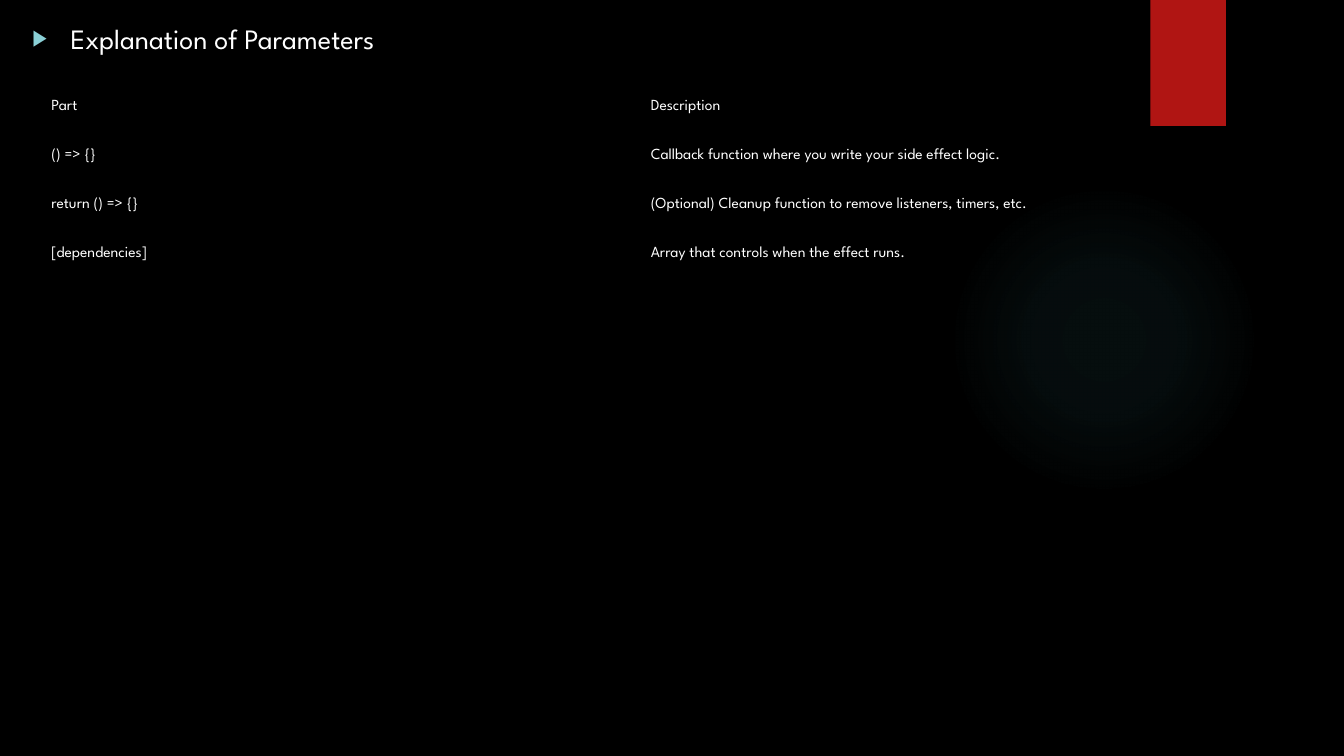
from lxml import etree
from pptx import Presentation
from pptx.dml.color import RGBColor
from pptx.enum import shapes, text
from pptx.oxml import ns, parse_xml
from pptx.util import Inches, Pt

BLACK = RGBColor(0x00, 0x00, 0x00)
WHITE = RGBColor(0xFF, 0xFF, 0xFF)
RED = RGBColor(0xB0, 0x15, 0x13)
TEAL = RGBColor(0x50, 0xB9, 0xC1)
AQUA = RGBColor(0x8A, 0xD0, 0xD6)
FONT = "League Spartan"
NO_TABLE_STYLE = "{2D5ABB26-0587-4C30-8999-92F81FD0307C}"

PARAMETERS = [
    ("Part", "Description"),
    ("() => {}", "Callback function where you write your side effect logic."),
    ("return () => {}", "(Optional) Cleanup function to remove listeners, timers, etc."),
    ("[dependencies]", "Array that controls when the effect runs."),
]
# Position and opacity of each stop, in percent
GLOW_STOPS = [(0, 7), (36, 6), (69, 0)]


def apply_format(target, values):
    for name, value in values.items():
        setattr(target, name, value)


def write(paragraph, words, size):
    run = paragraph.add_run()
    run.text = words
    apply_format(run.font, {"name": FONT, "size": Pt(size)})
    run.font.color.rgb = WHITE


def add_plain_shape(slide, preset, box):
    shape = slide.shapes.add_shape(preset, *map(Inches, box))
    shape.shadow.inherit = False
    shape.line.fill.background()
    return shape


def add_glow(slide, box):
    """Add a circle that fades from its centre to transparent."""
    glow = add_plain_shape(slide, shapes.MSO_SHAPE.OVAL, box)
    stops = "".join(
        f'<a:gs pos="{position * 1000}"><a:srgbClr val="{TEAL}">'
        f'<a:alpha val="{opacity * 1000}"/></a:srgbClr></a:gs>'
        for position, opacity in GLOW_STOPS
    )
    gradient = parse_xml(
        f'<a:gradFill {ns.nsdecls("a")}><a:gsLst>{stops}</a:gsLst><a:path path="circle">'
        '<a:fillToRect l="50000" t="50000" r="50000" b="50000"/></a:path></a:gradFill>'
    )
    glow.element.spPr.find(ns.qn("a:prstGeom")).addnext(gradient)


def add_ribbon(slide, box):
    ribbon = add_plain_shape(slide, shapes.MSO_SHAPE.RECTANGLE, box)
    ribbon.fill.solid()
    ribbon.fill.fore_color.rgb = RED


def add_arrow_bullet(paragraph):
    properties = paragraph._p.get_or_add_pPr()
    properties.set("marL", str(Inches(0.38)))
    properties.set("indent", str(Inches(-0.38)))
    color = etree.SubElement(properties, ns.qn("a:buClr"))
    etree.SubElement(color, ns.qn("a:srgbClr"), val=str(AQUA))
    etree.SubElement(properties, ns.qn("a:buSzPct"), val="80000")
    etree.SubElement(properties, ns.qn("a:buFont"), typeface="Arial")
    etree.SubElement(properties, ns.qn("a:buChar"), char="▶")


def fill_heading(body, box):
    left, top, width, height = map(Inches, box)
    apply_format(body, {"left": left, "top": top, "width": width, "height": height})
    apply_format(body.text_frame, {
        "auto_size": text.MSO_AUTO_SIZE.NONE,
        "vertical_anchor": text.MSO_ANCHOR.TOP,
        "word_wrap": True,
    })
    heading = body.text_frame.paragraphs[0]
    heading.space_before = Pt(10)
    add_arrow_bullet(heading)
    write(heading, "Explanation of Parameters", 20)


def add_parameter_table(slide, box):
    frame = slide.shapes.add_table(len(PARAMETERS), len(PARAMETERS[0]), *map(Inches, box))
    for style in frame.element.iter(ns.qn("a:tableStyleId")):
        style.text = NO_TABLE_STYLE
    table = frame.table
    apply_format(table, {"first_row": False, "horz_banding": False})
    for row, entries in zip(table.rows, PARAMETERS):
        for cell, entry in zip(row.cells, entries):
            apply_format(cell, {
                "margin_left": 0, "margin_right": 0, "margin_top": 0, "margin_bottom": 0,
                "vertical_anchor": text.MSO_ANCHOR.MIDDLE,
            })
            cell.fill.background()
            write(cell.text_frame.paragraphs[0], entry, 11)


def add_parameters_slide(deck):
    slide = deck.slides.add_slide(deck.slide_layouts[1])
    slide.background.fill.solid()
    slide.background.fill.fore_color.rgb = BLACK
    title, body = slide.placeholders
    title.element.getparent().remove(title.element)
    add_glow(slide, (9.41, 1.83, 3.08, 3.08))
    add_ribbon(slide, (11.41, 0, 0.75, 1.25))
    fill_heading(body, (0.22, 0.16, 12.97, 7.24))
    add_parameter_table(slide, (0.51, 0.82, 11.89, 1.94))


def main():
    deck = Presentation()
    apply_format(deck, {"slide_width": Inches(13.33), "slide_height": Inches(7.5)})
    add_parameters_slide(deck)
    deck.save("out.pptx")


if __name__ == "__main__":
    main()
